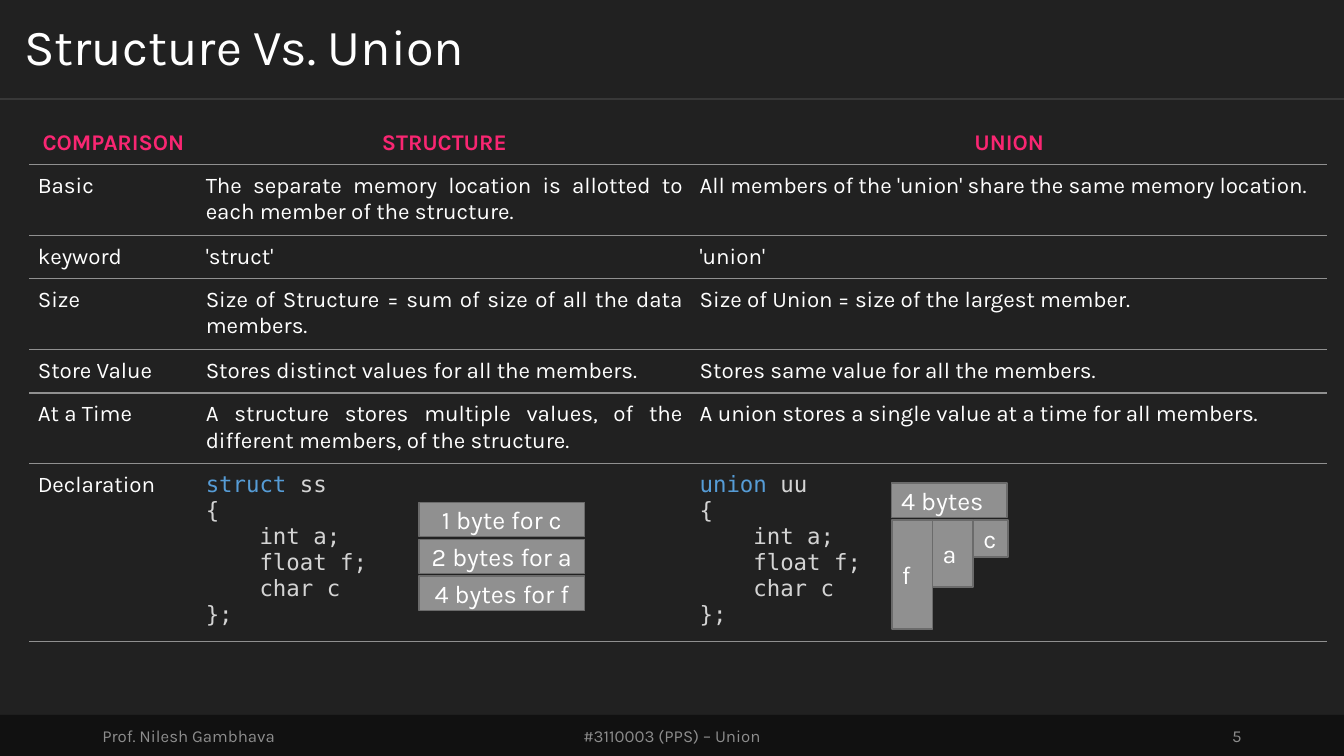
from lxml import etree
from pptx import Presentation
from pptx import util as u
from pptx.dml.color import RGBColor
from pptx.enum import shapes, text
from pptx.oxml import ns

COLUMNS, ROWS = 160, 90
UNIT = u.Inches(13.333) / COLUMNS
LEFT, CENTER, RIGHT, JUSTIFY = (
    text.PP_ALIGN.LEFT, text.PP_ALIGN.CENTER, text.PP_ALIGN.RIGHT, text.PP_ALIGN.JUSTIFY)
TOP, MIDDLE = text.MSO_ANCHOR.TOP, text.MSO_ANCHOR.MIDDLE

WHITE, GRAY, EDGE, BACKDROP = "FFFFFF", "909090", "6B6B6B", "212121"
BODY = {"size": u.Pt(16), "name": "Karla", "color": WHITE}
HEADING = {**BODY, "color": "F92672", "bold": True}
CODE = {**BODY, "name": "DejaVu Sans Mono", "color": "D4D4D4"}
KEYWORD = {**CODE, "color": "569CD6"}
MEMORY = {**BODY, "size": u.Pt(18)}
FOOTER = {**BODY, "size": u.Pt(12), "color": "8D8D8D"}
TITLE = {**BODY, "size": u.Pt(36)}
CODE_INDENT = 6.4


def grid(units):
    """Turn grid units into a slide length."""
    return u.Emu(round(units * UNIT))


def rgb(value):
    """Turn a hex string into a colour."""
    return RGBColor.from_string(value)


def assign(target, values):
    """Set every attribute named in a dict."""
    for name, value in values.items():
        setattr(target, name, value)


def declaration(keyword, name):
    """Give the code lines of a declaration as (indent, runs)."""
    members = [(CODE_INDENT, [(line, CODE)]) for line in ("int a;", "float f;", "char c")]
    return [(0, [(keyword + " ", KEYWORD), (name, CODE)]), (0, [("{", CODE)]),
            *members, (0, [("};", CODE)])]


def plain(words, style):
    """Give a single unindented line in one style."""
    return [(0, [(words, style)])]


class SlideBuilder:
    """Holds the current slide and draws its elements on the grid."""

    def __init__(self, deck):
        """Start a title-only slide with a dark background."""
        self.slide = deck.slides.add_slide(deck.slide_layouts[5])
        self.slide.background.fill.solid()
        self.slide.background.fill.fore_color.rgb = rgb(BACKDROP)

    def add_lines(self, frame, lines, align=LEFT):
        """Fill a text frame with lines of styled runs."""
        for number, (indent, runs) in enumerate(lines):
            paragraph = frame.paragraphs[0] if number == 0 else frame.add_paragraph()
            paragraph.alignment = align
            if indent:
                properties = paragraph._p.get_or_add_pPr()
                properties.set("marL", str(grid(indent)))
                properties.set("indent", "0")
            for words, style in runs:
                run = paragraph.add_run()
                run.text = words
                assign(run.font, {key: style[key] for key in style if key != "color"})
                run.font.color.rgb = rgb(style["color"])

    def title(self, words, height):
        """Place and format the title placeholder."""
        heading = self.slide.shapes.title
        assign(heading, dict(left=0, top=0, width=grid(COLUMNS), height=grid(height)))
        frame = heading.text_frame
        assign(frame, dict(margin_left=grid(2.9), margin_right=grid(2.9),
                           margin_top=grid(1.4), margin_bottom=grid(1.4), word_wrap=True,
                           vertical_anchor=MIDDLE, auto_size=text.MSO_AUTO_SIZE.NONE))
        self.add_lines(frame, plain(words, TITLE))
        frame.paragraphs[0].line_spacing = 0.9

    def rule(self, top):
        """Draw a faint line across the slide."""
        line = self.slide.shapes.add_connector(
            shapes.MSO_CONNECTOR.STRAIGHT, 0, grid(top), grid(COLUMNS), grid(top))
        line.line.width = u.Pt(0.5)
        line.line.color.rgb = rgb(WHITE)
        properties = line._element.spPr
        color = next(properties.iter(ns.qn("a:srgbClr")))
        etree.SubElement(color, ns.qn("a:alpha")).set("val", "30000")
        etree.SubElement(properties, ns.qn("a:effectLst"))

    def band(self, top, fill):
        """Draw the footer band down to the slide's lower edge."""
        band = self.slide.shapes.add_shape(
            shapes.MSO_SHAPE.ROUNDED_RECTANGLE, 0, grid(top), grid(COLUMNS), grid(ROWS - top))
        band.adjustments[0] = 0
        band.shadow.inherit = False
        band.fill.solid()
        band.fill.fore_color.rgb = rgb(fill)
        band.line.fill.background()

    def label(self, box, words, align):
        """Add a line of footer text."""
        frame = self.slide.shapes.add_textbox(*map(grid, box)).text_frame
        assign(frame, dict(word_wrap=True, vertical_anchor=MIDDLE))
        self.add_lines(frame, plain(words, FOOTER), align)

    def memory(self, box, words, align=LEFT):
        """Draw a block of memory with its label."""
        block = self.slide.shapes.add_shape(shapes.MSO_SHAPE.RECTANGLE, *map(grid, box))
        block.shadow.inherit = False
        block.fill.solid()
        block.fill.fore_color.rgb = rgb(GRAY)
        block.line.color.rgb = rgb(EDGE)
        block.line.width = u.Pt(1)
        block.text_frame.vertical_anchor = MIDDLE
        self.add_lines(block.text_frame, plain(words, MEMORY), align)

    def border(self, cell, color, sides):
        """Line the given sides of a cell and clear the others."""
        properties = cell._tc.get_or_add_tcPr()
        for position, side in enumerate("LRTB"):
            edge = etree.Element(ns.qn("a:ln" + side), w=str(u.Pt(1)))
            if side in sides:
                fill = etree.SubElement(edge, ns.qn("a:solidFill"))
                etree.SubElement(fill, ns.qn("a:srgbClr")).set("val", color)
            else:
                etree.SubElement(edge, ns.qn("a:noFill"))
            properties.insert(position, edge)

    def table_row(self, left, top, widths, height, cells, aligns, anchor, border):
        """Add a one-row table strip of the comparison."""
        table = self.slide.shapes.add_table(
            1, len(widths), *map(grid, (left, top, sum(widths), height))).table
        assign(table, dict(first_row=False, horz_banding=False))
        for index, (width, lines, align) in enumerate(zip(widths, cells, aligns)):
            table.columns[index].width = grid(width)
            cell = table.cell(0, index)
            margins = {"margin_" + side: grid(1) for side in ("left", "right", "top", "bottom")}
            assign(cell, {**margins, "vertical_anchor": anchor})
            cell.fill.background()
            self.border(cell, *border)
            self.add_lines(cell.text_frame, lines, align)


deck = Presentation()
assign(deck, dict(slide_width=grid(COLUMNS), slide_height=grid(ROWS)))
page = SlideBuilder(deck)
page.rule(11.8)
page.band(85.1, "111111")
for left, width, words, align in [(11, 36, "Prof. Nilesh Gambhava", LEFT),
                                  (53, 54, "#3110003 (PPS) – Union", CENTER),
                                  (113, 36, "5", RIGHT)]:
    page.label((left, 85.2, width, 4.8), words, align)
page.title("Structure Vs. Union", 11.8)

ONE_LINE, TWO_LINES, CODE_LINES = 5.2, 8.4, 21.2
comparison = [
    (TWO_LINES, "Basic",
     "The separate memory location is allotted to each member of the structure.",
     "All members of the 'union' share the same memory location."),
    (ONE_LINE, "keyword", "'struct'", "'union'"),
    (TWO_LINES, "Size", "Size of Structure = sum of size of all the data members.",
     "Size of Union = size of the largest member."),
    (ONE_LINE, "Store Value", "Stores distinct values for all the members.",
     "Stores same value for all the members."),
    (TWO_LINES, "At a Time",
     "A structure stores multiple values, of the different members, of the structure.",
     "A union stores a single value at a time for all members."),
]
headings = [plain(words, HEADING) for words in ("COMPARISON", "STRUCTURE", "UNION")]
prose = (LEFT, JUSTIFY, JUSTIFY)
ruled = (GRAY, "TB")
strips = [(ONE_LINE, headings, [CENTER] * 3, MIDDLE, (BACKDROP, "LRTB"))]
strips += [(height, [plain(words, BODY) for words in row], prose, TOP, ruled)
           for height, *row in comparison]
strips.append((CODE_LINES, [plain("Declaration", BODY), declaration("struct", "ss"),
                            declaration("union", "uu")], [LEFT] * 3, TOP, ruled))
strip_top = 14.4
for height, *strip in strips:
    page.table_row(3.5, strip_top, (20, 58.8, 75.7), height, *strip)
    strip_top += height

for index, words in enumerate(("1 byte for c", "2 bytes for a", "4 bytes for f")):
    page.memory((49.9, 59.8 + 4.4 * index, 19.7, 4.1), words, CENTER)
page.memory((106.1, 57.5, 13.8, 4.1), "4 bytes")
for index, (member, width, height) in enumerate([("f", 4.8, 13), ("a", 4.8, 8), ("c", 4.1, 4.4)]):
    page.memory((106.2 + 4.85 * index, 61.9, width, height), member)

deck.save("out.pptx")
